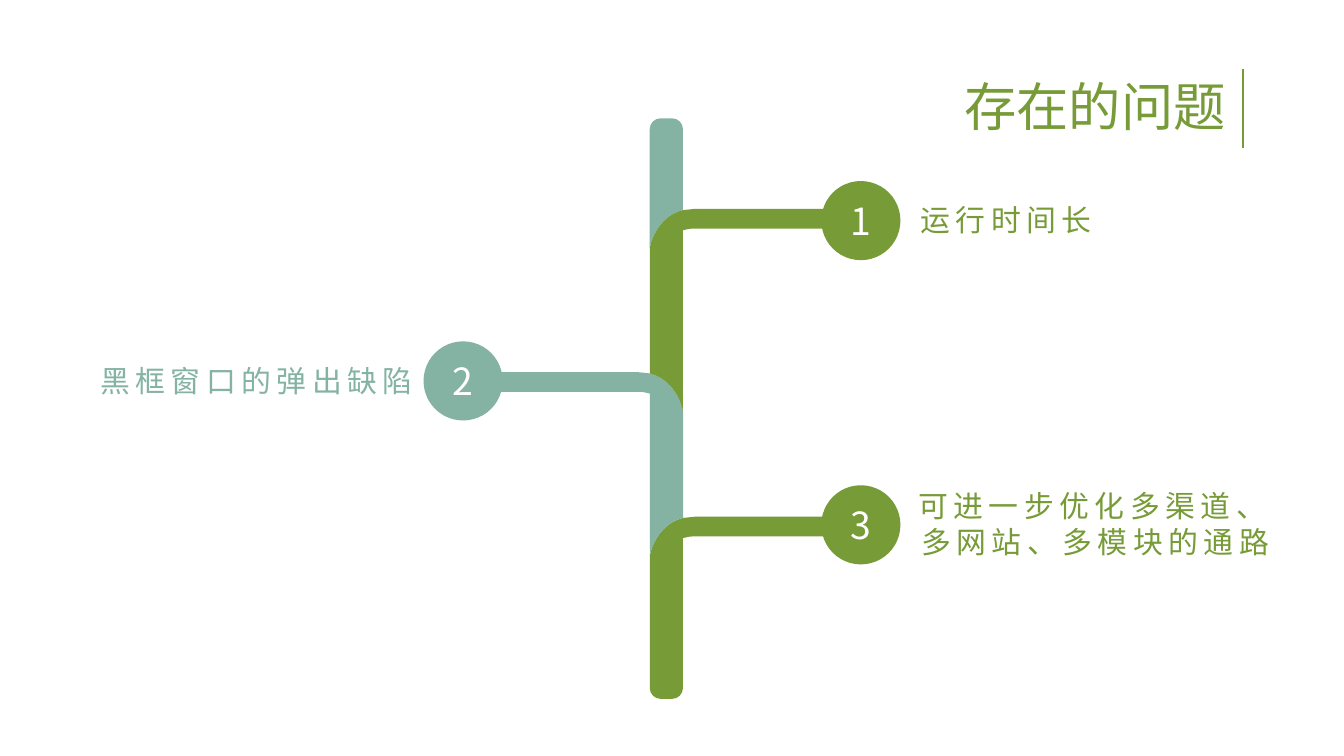
"""Build a slide showing three problems as branches of a central stem."""
from lxml import etree
from pptx import Presentation
from pptx.dml.color import RGBColor
from pptx.enum.shapes import MSO_CONNECTOR, MSO_SHAPE
from pptx.enum.text import MSO_ANCHOR, MSO_AUTO_SIZE, PP_ALIGN
from pptx.oxml.ns import qn
from pptx.util import Pt

LINE, OVAL = MSO_CONNECTOR.STRAIGHT, MSO_SHAPE.OVAL
TOP, MID, BOTTOM = MSO_ANCHOR.TOP, MSO_ANCHOR.MIDDLE, MSO_ANCHOR.BOTTOM
LEFT, CENTER, RIGHT = PP_ALIGN.LEFT, PP_ALIGN.CENTER, PP_ALIGN.RIGHT
GROW, FIXED = MSO_AUTO_SIZE.SHAPE_TO_FIT_TEXT, MSO_AUTO_SIZE.NONE

FONT = "Noto Sans CJK SC"
COLORS = {"green": "779B37", "teal": "84B3A3", "white": "FFFFFF"}
TITLE = "存在的问题"
ITEMS = [
    {"text": "运行时间长", "color": "green", "side": 1, "top": 111.9,
     "dot": (440, 97), "box": (486, 104.4, 110.2, 26.6), "align": LEFT, "wrap": False},
    {"text": "黑框窗口的弹出缺陷", "color": "teal", "side": -1, "top": 199.4,
     "dot": (226.9, 182.9), "box": (43.9, 190.8, 187.2, 26.6), "align": CENTER, "wrap": False},
    {"text": "可进一步优化多渠道、多网站、多模块的通路", "color": "green", "side": 1, "top": 276.8,
     "dot": (440, 260), "box": (482.4, 257.8, 208.8, 46.1), "align": CENTER, "wrap": True},
]
AXIS, HALF, ROUND = 357, 8.9, 5.8
STEM_TOP, STEM_END = 63.4, 374.4
ARM, TIP, THICK, DOT = 104, 109, 10.6, 42.4
UNIT = 100


def rgb(name):
    return RGBColor.from_string(COLORS[name])


def place(steps, side, top, way=1):
    return [[(AXIS + side * x, top + way * y) for x, y in step] for step in steps]


def elbow(side, top):
    return place([[(HALF, 0.7)], [(-2.6, 3.6), (-7.6, 14.4), (-HALF, 20.9)]], side, top)


def cap(edge, way):
    bend, flat = ROUND * 0.45, HALF - ROUND
    steps = [[(-HALF, ROUND)],
             [(-HALF, bend), (bend - HALF, 0), (-flat, 0)],
             [(flat, 0)],
             [(HALF - bend, 0), (HALF, bend), (HALF, ROUND)]]
    return place(steps, 1, edge, way)


def branch(side, top, tail):
    half = THICK / 2
    upper = [[(ARM, 0)], [(15.4, 0)]]
    lower = [[(HALF, THICK + 0.9)],
             [(HALF + 2, THICK + 0.2), (HALF + 4, THICK), (15.4, THICK)],
             [(ARM, THICK)],
             [(ARM + 2.8, THICK), (TIP, THICK - 2.4), (TIP, half)],
             [(TIP, 2.4), (ARM + 2.8, 0), (ARM, 0)]]
    return place(upper, side, top) + elbow(side, top) + tail + place(lower, side, top)


def paint(shape, color):
    shape.shadow.inherit = False
    shape.fill.solid()
    shape.fill.fore_color.rgb = rgb(color)
    shape.line.fill.background()


def outline(slide, steps, color):
    ends = [(x * UNIT, y * UNIT) for x, y in (step[-1] for step in steps)]
    form = slide.shapes.build_freeform(*ends[0], scale=Pt(1) / UNIT)
    form.add_line_segments(ends[1:], close=False)
    shape = form.convert_to_shape()
    left, top = (min(axis) for axis in zip(*ends))
    nodes = list(shape._element.iter(qn("a:lnTo")))
    for node, step in zip(nodes, steps[1:]):
        if len(step) == 3:
            node.tag = qn("a:cubicBezTo")
            for spot, (x, y) in enumerate(step[:2]):
                point = etree.Element(qn("a:pt"))
                point.set("x", str(round(x * UNIT - left)))
                point.set("y", str(round(y * UNIT - top)))
                node.insert(spot, point)
    etree.SubElement(nodes[-1].getparent(), qn("a:close"))
    paint(shape, color)


def write(shape, text, size, color, align, anchor=TOP, wrap=True, gap=0, fit=FIXED):
    frame = shape.text_frame
    frame.text = text
    frame.word_wrap = wrap
    frame.auto_size = fit
    frame.vertical_anchor = anchor
    para = frame.paragraphs[0]
    para.alignment = align
    run = para.runs[0]
    run.font.size = Pt(size)
    run.font.name = FONT
    run.font.color.rgb = rgb(color)
    props = run._r.get_or_add_rPr()
    etree.SubElement(props, qn("a:ea")).set("typeface", FONT)
    if gap:
        props.set("spc", str(gap * 100))
    return para


def textbox(slide, box, *args, **opts):
    return write(slide.shapes.add_textbox(*map(Pt, box)), *args, **opts)


def main():
    deck = Presentation()
    deck.slide_width, deck.slide_height = Pt(720), Pt(405)
    slide = deck.slides.add_slide(deck.slide_layouts[6])

    head = textbox(slide, (388.6, 38.7, 275, 38.9), TITLE, 28, "green", RIGHT, BOTTOM)
    head.line_spacing = 0.9
    rule = slide.shapes.add_connector(LINE, Pt(665.9), Pt(36.9), Pt(665.9), Pt(79.2))
    rule.line.color.rgb = rgb("green")
    rule.line.width = Pt(1.5)
    etree.SubElement(rule._element.spPr, qn("a:effectLst"))

    first = ITEMS[0]
    stem = cap(STEM_TOP, 1) + elbow(first["side"], first["top"])
    outline(slide, stem, "teal")
    tail = cap(STEM_END, -1)
    for item in reversed(ITEMS):
        side, top = item["side"], item["top"]
        outline(slide, branch(side, top, tail), item["color"])
        tail = elbow(side, top)

    for num, item in enumerate(ITEMS, 1):
        textbox(slide, item["box"], item["text"], 16, item["color"], item["align"],
                wrap=item["wrap"], gap=3, fit=GROW)
        dot = slide.shapes.add_shape(OVAL, *map(Pt, (*item["dot"], DOT, DOT)))
        paint(dot, item["color"])
        write(dot, str(num), 20, "white", CENTER, MID, wrap=False)

    deck.save("out.pptx")


if __name__ == "__main__":
    main()
